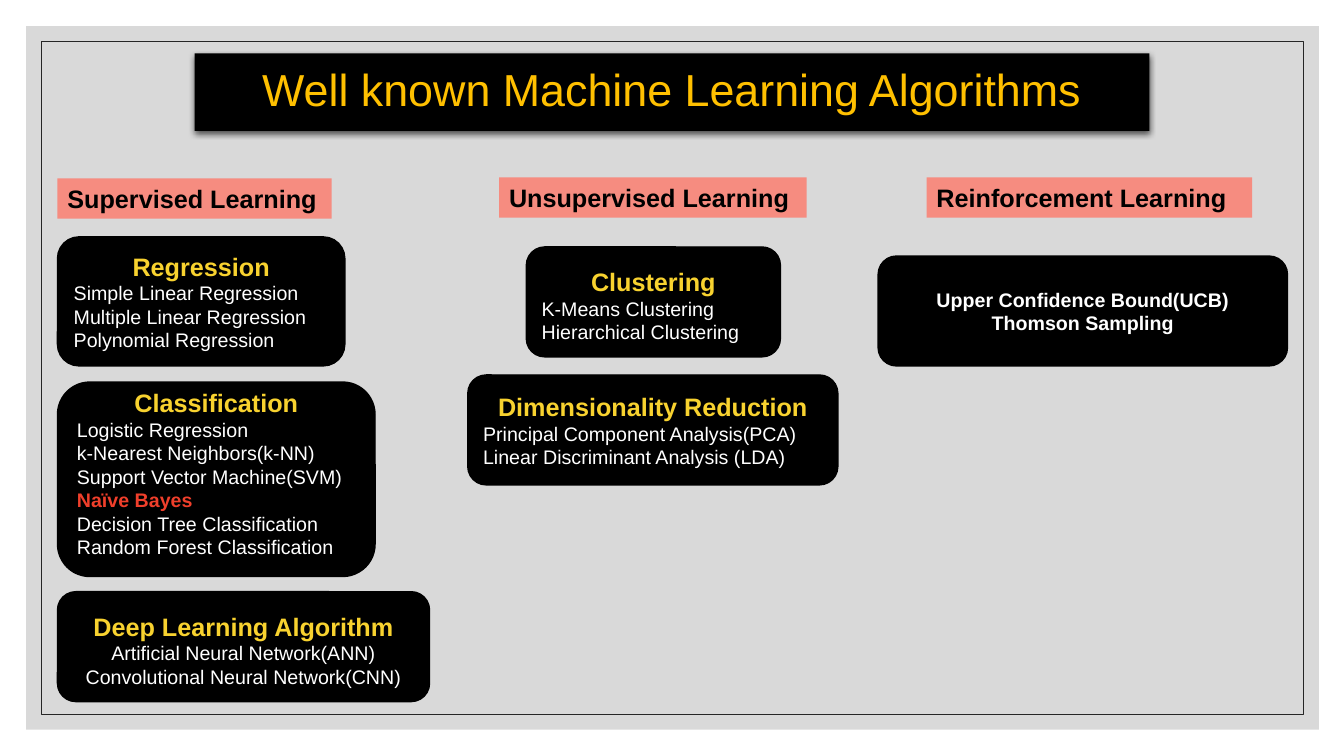
"""Build a one-slide overview of well known machine learning algorithms."""
from lxml import etree
from pptx import Presentation
from pptx.dml.color import RGBColor
from pptx.enum import shapes, text
from pptx.oxml import ns
from pptx.util import Inches, Pt

BLACK = RGBColor(0, 0, 0)
WHITE = RGBColor(255, 255, 255)
GREY = RGBColor(0xD9, 0xD9, 0xD9)
DARK = RGBColor(0x26, 0x26, 0x26)
AMBER = RGBColor(0xFF, 0xC0, 0x00)
GOLD = RGBColor(0xF8, 0xD2, 0x2F)
PINK = RGBColor(0xF6, 0x8C, 0x80)
RED = RGBColor(0xF0, 0x3F, 0x2B)

FONT = "Arial"
RECT = shapes.MSO_SHAPE.RECTANGLE
ROUND = shapes.MSO_SHAPE.ROUNDED_RECTANGLE
LEFT, MID = text.PP_ALIGN.LEFT, text.PP_ALIGN.CENTER
INSET = 0.05

TITLE = "Well known Machine Learning Algorithms"
LABELS = [
    ("Supervised Learning", 0.57, 1.77, 2.72),
    ("Unsupervised Learning", 4.95, 1.76, 3.05),
    ("Reinforcement Learning", 9.19, 1.76, 3.23),
]
KEY = "Naïve Bayes"
CARDS = [
    {"head": "Regression", "box": (0.57, 2.35, 2.85, 1.28),
     "items": ["Simple Linear Regression", "Multiple Linear Regression",
               "Polynomial Regression"]},
    {"head": "Classification", "box": (0.57, 3.79, 3.15, 1.93), "shift": -0.06,
     "items": ["Logistic Regression", "k-Nearest Neighbors(k-NN)",
               "Support Vector Machine(SVM)", KEY,
               "Decision Tree Classification", "Random Forest Classification"]},
    {"head": "Deep Learning Algorithm", "box": (0.57, 5.87, 3.69, 1.09),
     "shift": 0.03, "align": MID,
     "items": ["Artificial Neural Network(ANN)",
               "Convolutional Neural Network(CNN)"]},
    {"head": "Clustering", "box": (5.22, 2.45, 2.52, 1.09), "shift": 0.03,
     "items": ["K-Means Clustering", "Hierarchical Clustering"]},
    {"head": "Dimensionality Reduction", "box": (4.64, 3.72, 3.67, 1.09),
     "items": ["Principal Component Analysis(PCA)",
               "Linear Discriminant Analysis (LDA)"]},
    {"box": (8.71, 2.54, 4.06, 1.09), "align": MID, "bold": True,
     "items": ["Upper Confidence Bound(UCB)", "Thomson Sampling"]},
]


def add_box(slide, kind, box, fill=None, line=None, width=1):
    shape = slide.shapes.add_shape(kind, *map(Inches, box))
    shape.shadow.inherit = False
    if fill is None:
        shape.fill.background()
    else:
        shape.fill.solid()
        shape.fill.fore_color.rgb = fill
    if line is None:
        shape.line.fill.background()
    else:
        shape.line.color.rgb = line
        shape.line.width = Pt(width)
    return shape


def write(shape, lines, anchor=text.MSO_ANCHOR.MIDDLE, shift=0):
    frame = shape.text_frame
    frame.word_wrap = True
    frame.vertical_anchor = anchor
    frame.margin_top = Inches(INSET + max(2 * shift, 0))
    frame.margin_bottom = Inches(INSET + max(-2 * shift, 0))
    for at, (words, size, color, bold, align) in enumerate(lines):
        para = frame.add_paragraph() if at else frame.paragraphs[0]
        para.alignment = align
        run = para.add_run()
        run.text = words
        run.font.name = FONT
        run.font.size = Pt(size)
        run.font.bold = bold
        run.font.color.rgb = color


def add_shadow(shape):
    glow = shape.fill._xPr.find(ns.qn("a:effectLst"))
    outer = etree.SubElement(glow, ns.qn("a:outerShdw"), blurRad=str(Pt(4.5)),
                             dist=str(Pt(1.5)), dir="5400000",
                             algn="ctr", rotWithShape="0")
    color = etree.SubElement(outer, ns.qn("a:srgbClr"), val=str(BLACK))
    etree.SubElement(color, ns.qn("a:alpha"), val="63000")


def add_card(slide, card):
    align, bold = card.get("align", LEFT), card.get("bold", False)
    lines = [(item, 14, RED if item == KEY else WHITE, bold or item == KEY, align)
             for item in card["items"]]
    if "head" in card:
        lines.insert(0, (card["head"], 18, GOLD, True, MID))
    shape = add_box(slide, ROUND, card["box"], BLACK, BLACK)
    write(shape, lines, shift=card.get("shift", 0))


def main():
    deck = Presentation()
    deck.slide_width, deck.slide_height = Inches(13.33), Inches(7.5)
    slide = deck.slides.add_slide(deck.slide_layouts[6])

    add_box(slide, RECT, (0.26, 0.26, 12.82, 6.98), GREY)
    add_box(slide, RECT, (0.41, 0.41, 12.52, 6.68), line=DARK, width=0.5)

    title = add_box(slide, RECT, (1.93, 0.53, 9.47, 0.77), BLACK)
    add_shadow(title)
    write(title, [(TITLE, 32, AMBER, False, MID)])
    title.text_frame.paragraphs[0].line_spacing = 0.9

    for words, left, top, width in LABELS:
        label = add_box(slide, RECT, (left, top, width, 0.4), PINK)
        write(label, [(words, 18, BLACK, True, LEFT)], text.MSO_ANCHOR.TOP)
    for card in CARDS:
        add_card(slide, card)

    deck.save("out.pptx")


if __name__ == "__main__":
    main()
